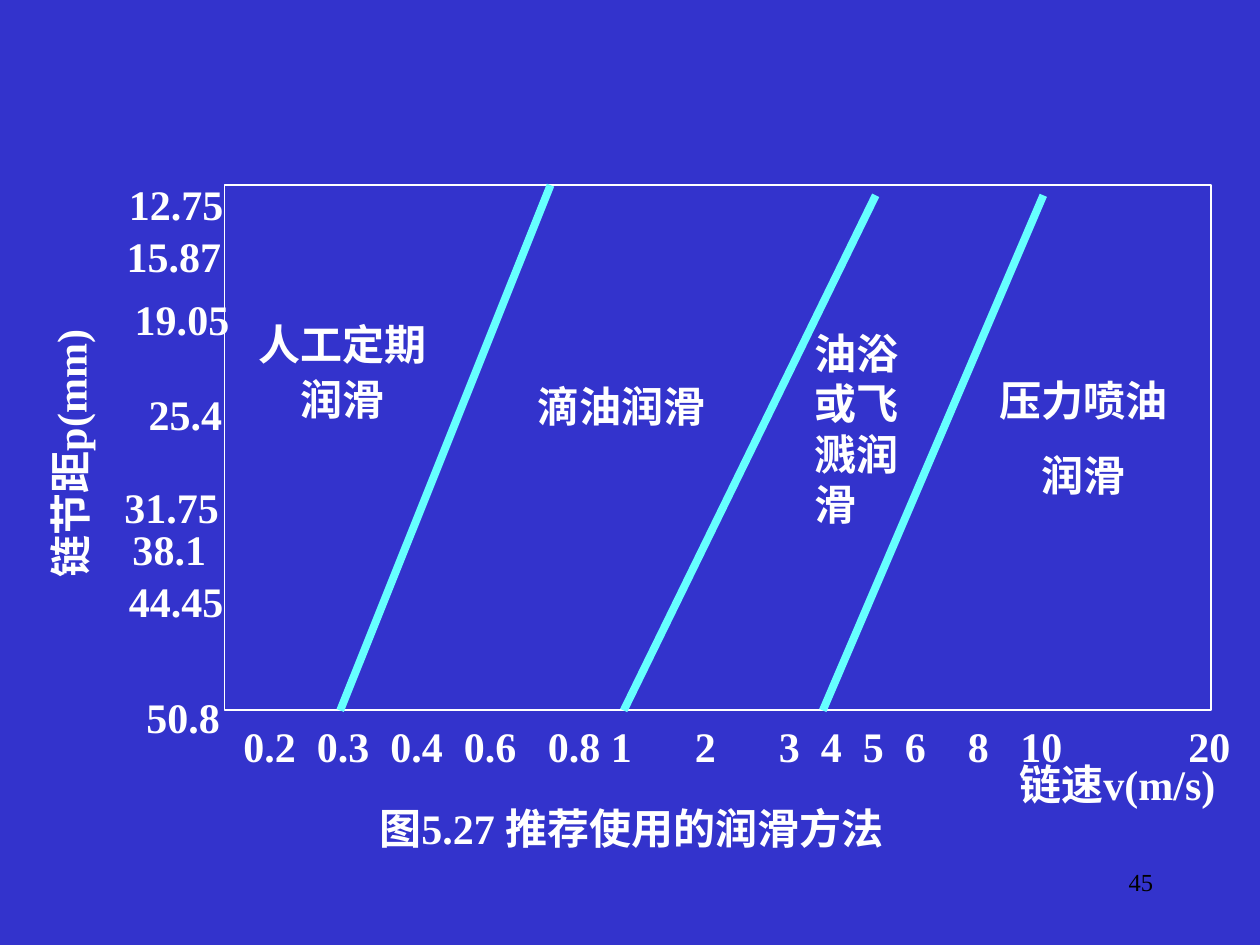
import pptx
import pptx.dml.color
import pptx.enum.shapes
import pptx.enum.text
import pptx.util
from dataclasses import dataclass
from lxml import etree

Pt = pptx.util.Pt
RGB = pptx.dml.color.RGBColor
ALIGN = pptx.enum.text.PP_ALIGN
ANCHOR = pptx.enum.text.MSO_ANCHOR
A = "{http://schemas.openxmlformats.org/drawingml/2006/main}"


@dataclass(frozen=True)
class Theme:
    background: RGB = RGB(0x33, 0x33, 0xCC)
    ink: RGB = RGB(0xFF, 0xFF, 0xFF)
    boundary: RGB = RGB(0x66, 0xFF, 0xFF)
    page: RGB = RGB(0, 0, 0)
    font: str = "Times New Roman"
    label_size: int = 24
    page_size: int = 14


theme = Theme()
prs = pptx.Presentation()
prs.slide_width, prs.slide_height = Pt(720), Pt(540)
s = prs.slides.add_slide(prs.slide_layouts[6])
s.background.fill.solid()
s.background.fill.fore_color.rgb = theme.background


def add_label(text, x, y, w, h=50.4, align=ALIGN.CENTER, spacings=(1.5,), wrap=False):
    """Add bold label text, one paragraph per line, with one line spacing each."""
    sp = s.shapes.add_textbox(Pt(x), Pt(y), Pt(w), Pt(h))
    tf = sp.text_frame
    tf.word_wrap = wrap
    tf.vertical_anchor = ANCHOR.MIDDLE
    for i, (line, spacing) in enumerate(zip(text.split("\n"), spacings)):
        p = tf.add_paragraph() if i else tf.paragraphs[0]
        p.alignment = align
        p.line_spacing = spacing
        if i:
            p.space_before = Pt(15)
        r = p.add_run()
        r.text = line
        r.font.name = theme.font
        r.font.size = Pt(theme.label_size)
        r.font.bold = True
        r.font.color.rgb = theme.ink
    return sp


# Page number
sp = s.shapes.add_textbox(Pt(516), Pt(492), Pt(150), Pt(36))
sp.text_frame.word_wrap = True
p = sp.text_frame.paragraphs[0]
p.alignment = ALIGN.RIGHT
r = p.add_run()
r.text = "45"
r.font.name = theme.font
r.font.size = Pt(theme.page_size)
r.font.color.rgb = theme.page

# Plot frame
frame = s.shapes.add_shape(pptx.enum.shapes.MSO_SHAPE.RECTANGLE,
                           Pt(128.2), Pt(105.8), Pt(563.8), Pt(300))
frame.shadow.inherit = False
frame.fill.background()
frame.line.color.rgb = theme.ink
frame.line.width = Pt(0.75)

# Chain pitch axis
add_label("链节距p(mm)", -48, 234, 161.3).rotation = 270
pitches = [("12.75", 66.4, 83.8), ("15.87", 65.2, 113.5), ("19.05", 69.8, 149.8),
           ("25.4", 77.8, 203.8), ("31.75", 63.8, 257), ("38.1", 68.6, 281.2),
           ("44.45", 66.4, 311), ("50.8", 76.5, 377)]
for text, x, y in pitches:
    add_label(text, x, y, 68.4 if len(text) == 5 else 56.2)

# Chain speed axis: tick positions in points from the first tick
speeds = {"0.2": 0, "0.3": 42, "0.4": 84, "0.6": 126, "0.8": 174, "1": 210, "2": 258,
          "3": 306, "4": 330, "5": 354, "6": 378, "8": 414, "10": 444, "20": 540}
sp = add_label("\t".join(speeds), 132, 393.8, 578, align=ALIGN.LEFT, wrap=True)
sp.text_frame.margin_right = 0
tabs = etree.SubElement(sp.text_frame.paragraphs[0]._p.get_or_add_pPr(), A + "tabLst")
for position in list(speeds.values())[1:]:
    etree.SubElement(tabs, A + "tab", pos=str(Pt(position)), algn="l")

# Boundaries between lubrication methods
for x1, y1, x2, y2 in [(194.4, 406, 314.6, 105.8), (500.4, 111.6, 356.4, 406),
                       (470.2, 406, 596.2, 111.6)]:
    line = s.shapes.add_connector(pptx.enum.shapes.MSO_CONNECTOR.STRAIGHT,
                                  Pt(x1), Pt(y1), Pt(x2), Pt(y2))
    line.line.color.rgb = theme.boundary
    line.line.width = Pt(4.5)
    etree.SubElement(line._element.spPr, A + "effectLst")

# Lubrication methods
add_label("人工定期\n润滑", 140.4, 164.2, 110.2, 79.9, spacings=(1.5, 0.5))
add_label("滴油润滑", 300.2, 199.4, 110.2)
add_label("油浴或飞溅润滑", 458.6, 183.6, 77.8, 122.4, ALIGN.LEFT, (1.0,), True)
add_label("压力喷油润滑", 558, 195.8, 122.4, 93.6, wrap=True)

# Caption and speed axis title
add_label("图5.27 推荐使用的润滑方法", 203.8, 440.6, 313.9)
add_label("链速v(m/s)", 567.5, 415.4, 142)

prs.save("out.pptx")
